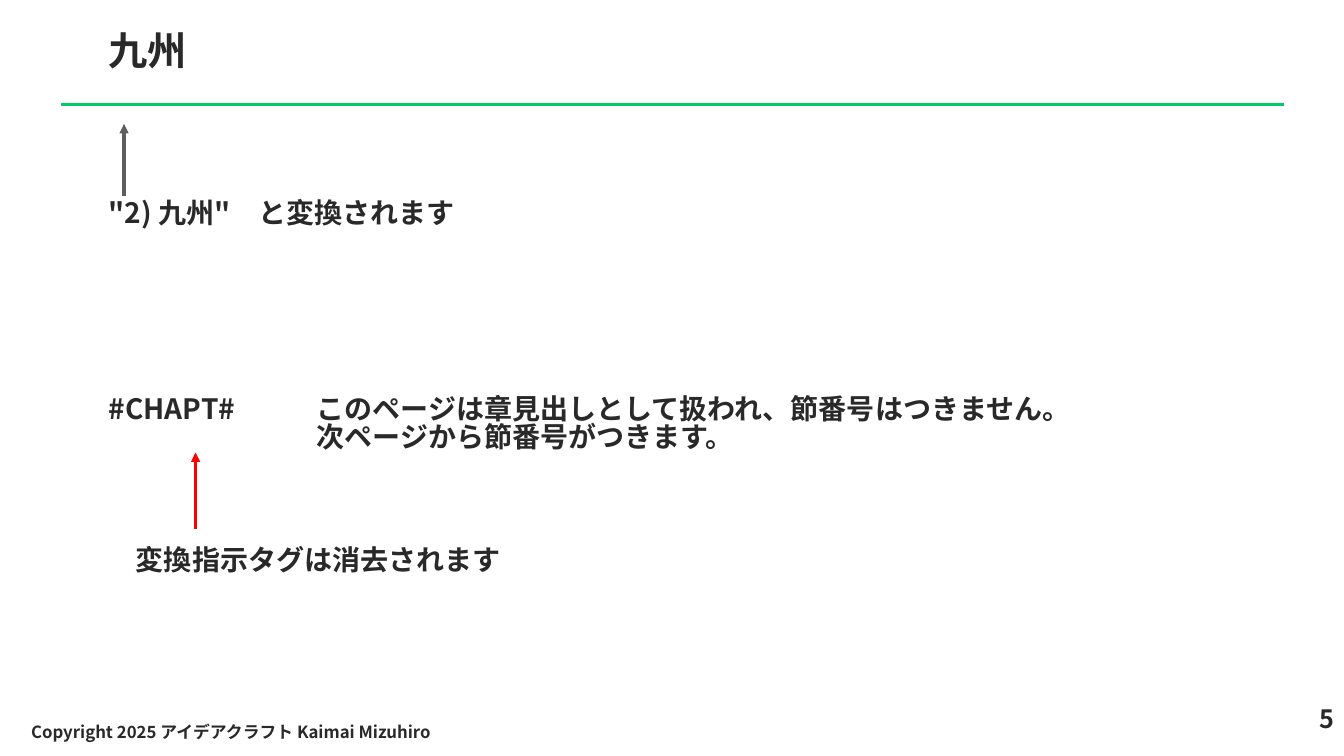
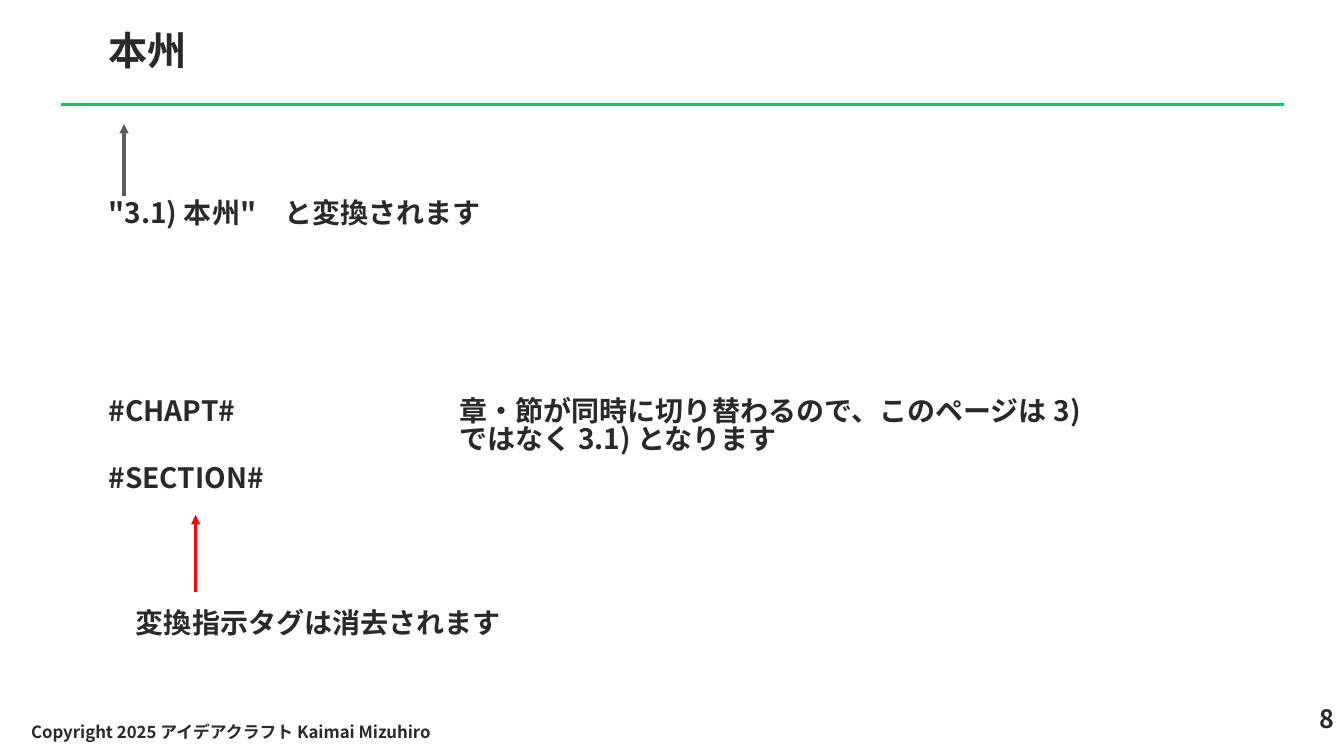
from lxml import etree
from pptx import Presentation
from pptx.dml.color import RGBColor
from pptx.enum.shapes import MSO_CONNECTOR as Connector
from pptx.enum.text import MSO_ANCHOR as Anchor, PP_ALIGN as Align
from pptx.oxml.ns import qn
from pptx.util import Inches, Pt

# Content: positions are (left, top, width, height) in inches
COPYRIGHT = "Copyright 2025 アイデアクラフト Kaimai Mizuhiro"
TAG_REMOVED = "変換指示タグは消去されます"
SLIDES = [
    {
        "title": "九州",
        "number": "5",
        "converted": "\"2) 九州\"　と変換されます",
        "tags": ["#CHAPT#"],
        "tags_top": 3.89,
        "note": ["このページは章見出しとして扱われ、節番号はつきません。",
                 "次ページから節番号がつきます。"],
        "note_left": 3.04,
        "note_width": 9.12,
        "arrow_top": 4.49,
    },
    {
        "title": "本州",
        "number": "8",
        "converted": "\"3.1) 本州\"　と変換されます",
        "tags": ["#CHAPT#", "#SECTION#"],
        "tags_top": 3.91,
        "note": ["章・節が同時に切り替わるので、このページは 3) ではなく 3.1) となります"],
        "note_left": 4.46,
        "note_width": 6.52,
        "arrow_top": 5.11,
    },
]

# Shared style
COLORS = {"text": "292929", "rule": "00CC66", "title_arrow": "5E5E5E", "tag_arrow": "FF0000"}
FONT = "Noto Sans CJK JP"
SIZES = {"title": 28, "body": 20, "number": 18, "footer": 12}
LINE_SPACING = 0.84
TEXT_LEFT = 0.98
LINE_HEIGHT, TWO_LINES = 0.44, 0.77
TAG_STEP = 0.66
ARROW_LENGTH = 0.76


def add_text(slide, lines, box, style="body", align=Align.LEFT, anchor=Anchor.TOP):
    frame = slide.shapes.add_textbox(*map(Inches, box)).text_frame
    frame.word_wrap = True
    frame.vertical_anchor = anchor
    font_values = {"name": FONT, "size": Pt(SIZES[style]), "bold": True}
    for index, line in enumerate(lines):
        paragraph = frame.add_paragraph() if index else frame.paragraphs[0]
        paragraph.alignment = align
        paragraph.line_spacing = LINE_SPACING
        run = paragraph.add_run()
        run.text = line
        for name, value in font_values.items():
            setattr(run.font, name, value)
        run.font.color.rgb = RGBColor.from_string(COLORS["text"])
        # East Asian typeface
        east_asian = etree.SubElement(run.font._element, qn("a:ea"))
        east_asian.set("typeface", FONT)


def add_line(slide, start, end, color, arrow=False):
    line = slide.shapes.add_connector(Connector.STRAIGHT, *map(Inches, start + end))
    line.line.width = Pt(2.25)
    line.line.color.rgb = RGBColor.from_string(COLORS[color])
    if arrow:
        etree.SubElement(line.line._get_or_add_ln(), qn("a:tailEnd")).set("type", "triangle")
    etree.SubElement(line._element.spPr, qn("a:effectLst"))


def add_frame(slide, title, number):
    """Title, rule, page number and copyright line."""
    add_line(slide, (0.61, 1.04), (12.73, 1.04), "rule")
    add_text(slide, [title], (TEXT_LEFT, 0.29, 11.98, 0.71), "title")
    add_text(slide, [number], (11.71, 6.98, 1.62, 0.5), "number", align=Align.RIGHT)
    add_text(slide, [COPYRIGHT], (0.21, 7.08, 6.06, 0.4), "footer", anchor=Anchor.MIDDLE)


def build_slide(presentation, content):
    slide = presentation.slides.add_slide(presentation.slide_layouts[6])
    add_frame(slide, content["title"], content["number"])

    # Converted title
    add_text(slide, [content["converted"]], (TEXT_LEFT, 1.94, 10.47, LINE_HEIGHT))
    add_line(slide, (1.23, 1.94), (1.23, 1.23), "title_arrow", arrow=True)

    # Tags and their explanation
    top = content["tags_top"]
    for index, tag in enumerate(content["tags"]):
        add_text(slide, [tag], (TEXT_LEFT, top + index * TAG_STEP, 2, LINE_HEIGHT))
    add_text(slide, content["note"],
             (content["note_left"], top, content["note_width"], TWO_LINES))

    # Remark on the removed tag
    arrow_top = content["arrow_top"]
    arrow_bottom = arrow_top + ARROW_LENGTH
    add_line(slide, (1.94, arrow_bottom), (1.94, arrow_top), "tag_arrow", arrow=True)
    add_text(slide, [TAG_REMOVED], (1.25, arrow_bottom + 0.14, 9.12, LINE_HEIGHT))


def main():
    presentation = Presentation()
    presentation.slide_width = Inches(13.33)
    presentation.slide_height = Inches(7.5)
    for content in SLIDES:
        build_slide(presentation, content)
    presentation.save("out.pptx")


if __name__ == "__main__":
    main()
